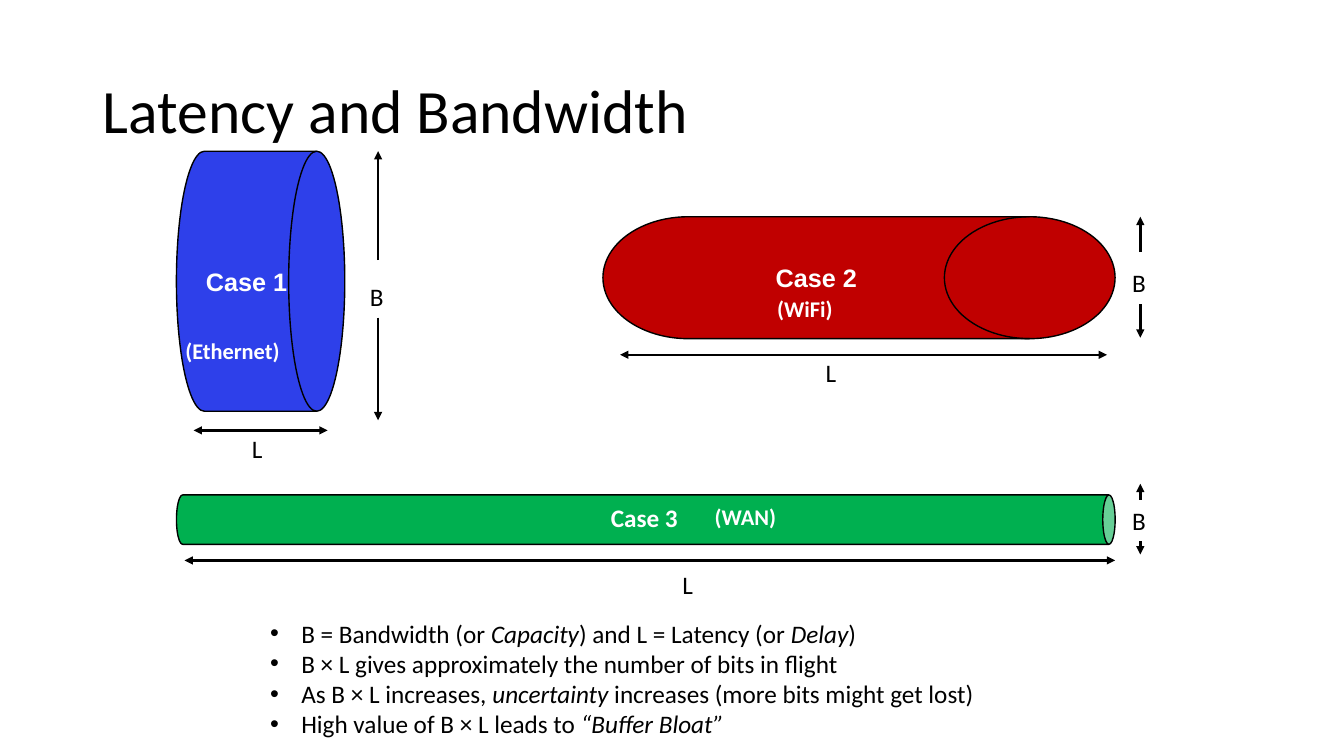
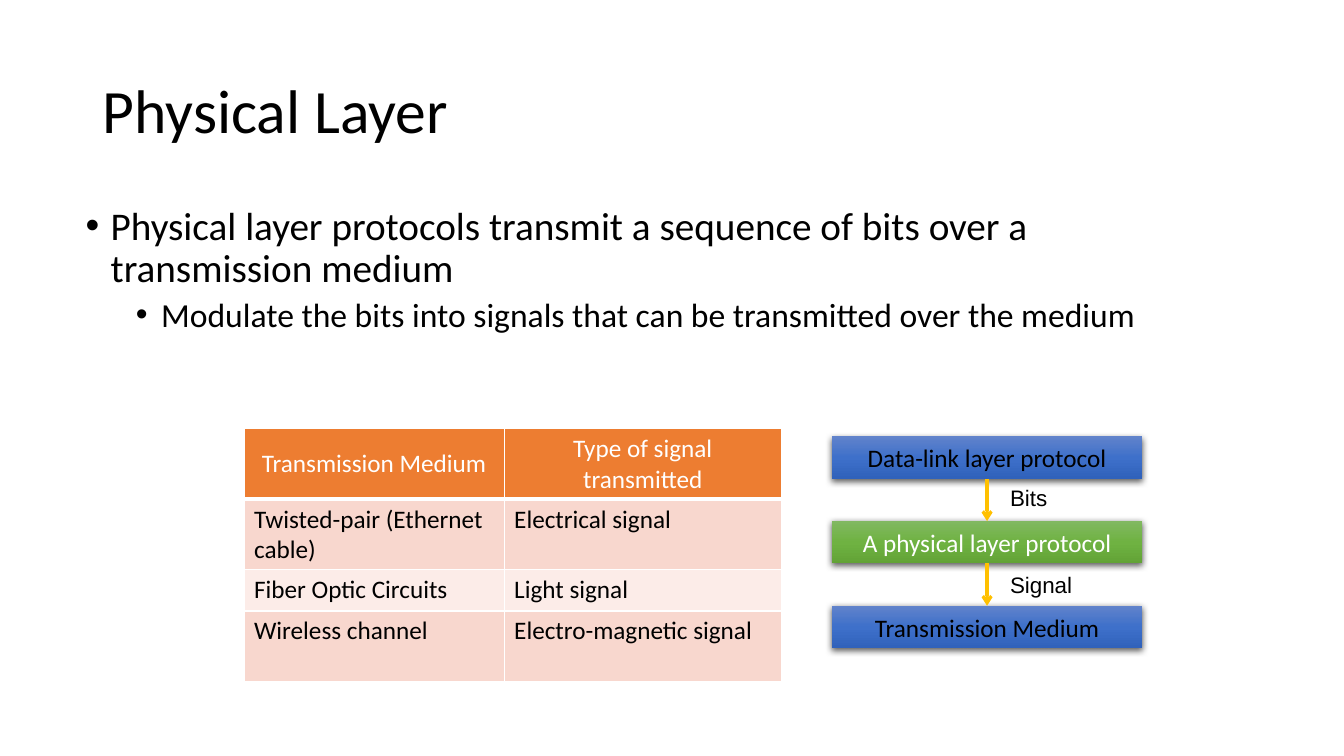
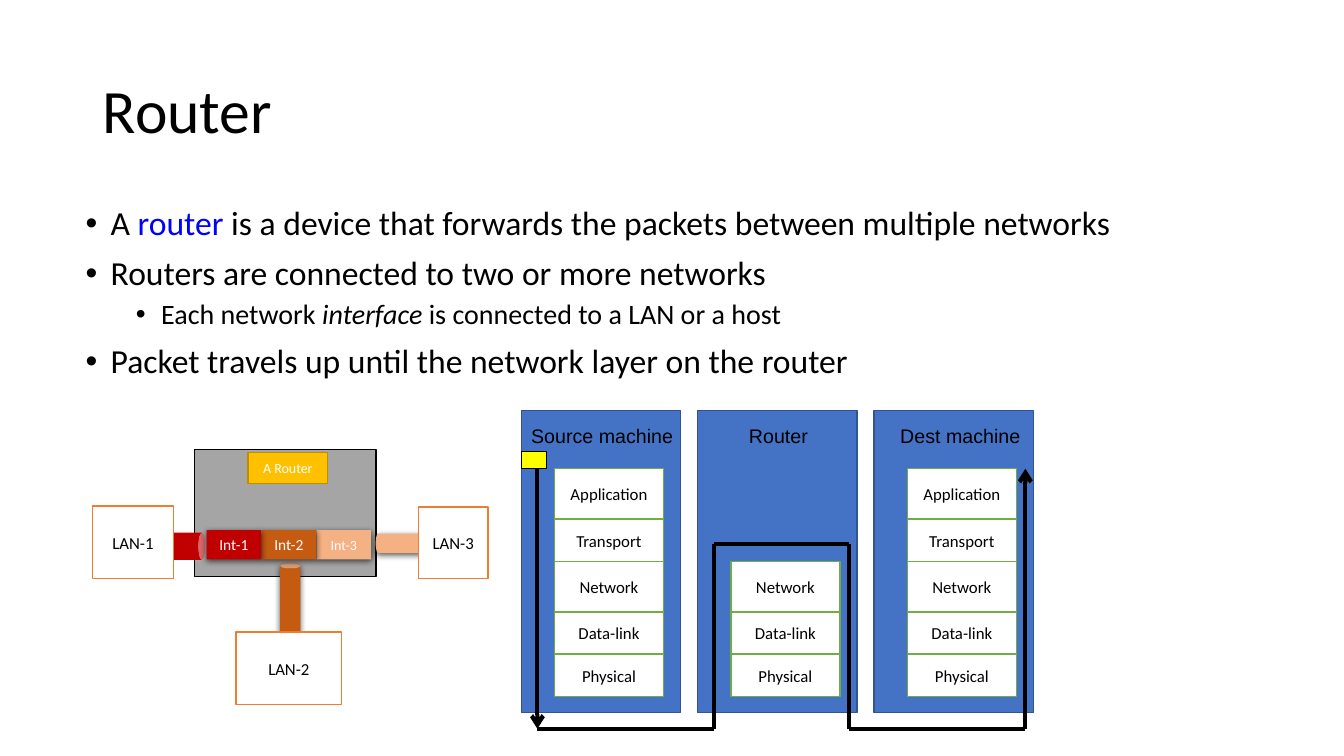
"""Three lecture slides on latency, the physical layer and routers."""
from copy import deepcopy
from dataclasses import dataclass

from lxml.etree import SubElement
from pptx import Presentation
from pptx.dml.color import RGBColor
from pptx.enum.shapes import MSO_CONNECTOR, MSO_SHAPE
from pptx.enum.text import MSO_ANCHOR, MSO_AUTO_SIZE, PP_ALIGN
from pptx.oxml.ns import qn
from pptx.util import Inches, Pt


@dataclass(frozen=True)
class Theme:
    body_font: str = "Calibri"
    label_font: str = "Arial"
    title: int = 44
    lead: int = 28
    point: int = 24
    sub: int = 20
    base: int = 18
    tag: int = 16
    machine: int = 14
    small: int = 12
    port: int = 11
    tiny: int = 10
    black: str = "000000"
    white: str = "FFFFFF"
    keyword: str = "0000FF"
    ethernet: str = "2E40EA"
    wifi: str = "C00000"
    wan: str = "00B050"
    orange: str = "ED7D31"
    band_dark: str = "F8D7CE"
    band_light: str = "FCECE8"
    gold: str = "FFC000"
    gold_edge: str = "BD8E00"
    grey: str = "A5A5A5"
    rust: str = "C55A11"
    peach: str = "F4B183"
    blue: str = "4472C4"
    blue_edge: str = "325491"
    green: str = "70AD47"
    packet: str = "FFFF00"
    blue_ramp: tuple = ("6183CB", "3E70CA", "3062BB")
    green_ramp: tuple = ("81B861", "6FB242", "62A336")


@dataclass(frozen=True)
class Bullet:
    runs: tuple
    level: str = "main"
    size: int = 24


THEME = Theme()
TITLE_AREA = (0.92, 0.4, 11.5, 1.45)
BODY_AREA = (0.75, 2, 11.5, 4.76)
LEVELS = {
    "note": {"left": 0.31, "hang": 0.31, "before": 0, "spacing": 1.0},
    "main": {"left": 0.25, "hang": 0.25, "before": 10, "spacing": 0.9},
    "sub": {"left": 0.75, "hang": 0.25, "before": 5, "spacing": 0.9},
}
ITALIC = {"italic": True}

DRUMS = [
    ("Case 1", (1.75, 1.5, 1.67, 2.58), THEME.ethernet),
    ("Case 2", (5.98, 2.15, 5.08, 1.21), THEME.wifi),
]
WAN_PIPE = (6.16, 0.5, 0.49, 9.31)
CASE_TAGS = [
    ("Case 3", (5.96, 4.93, 1.02, 0.4), THEME.base, False),
    ("(Ethernet)", (1.74, 3.3, 1.68, 0.37), THEME.tag, True),
    ("(WiFi)", (7.61, 2.88, 0.83, 0.37), THEME.tag, False),
    ("(WAN)", (6.99, 4.94, 0.87, 0.37), THEME.tag, False),
]
BANDWIDTHS = [
    {"x": 3.75, "up": (2.58, 1.5), "label": 2.74, "down": (3.15, 4.17)},
    {"x": 11.31, "up": (2.5, 2.15), "label": 2.6, "down": (3.02, 3.35)},
    {"x": 11.31, "up": (4.96, 4.8), "label": 4.96, "down": (5.37, 5.5)},
]
LATENCIES = [
    {"span": (1.92, 3.25), "y": 4.27, "label": (2.4, 4.25)},
    {"span": (6.15, 10.98), "y": 3.52, "label": (8.09, 3.5)},
    {"span": (1.83, 11.06), "y": 5.56, "label": (6.67, 5.6)},
]
LATENCY_NOTES = [
    Bullet(("B = Bandwidth (or ", ("Capacity", ITALIC), ") and L = Latency (or ",
            ("Delay", ITALIC), ")"), "note", THEME.base),
    Bullet(("B × L gives approximately the number of bits in flight",),
           "note", THEME.base),
    Bullet(("As B × L increases, ", ("uncertainty", ITALIC),
            " increases (more bits might get lost)"), "note", THEME.base),
    Bullet(("High value of B × L leads to ", ("“Buffer Bloat”", ITALIC)),
           "note", THEME.base),
]

PHYSICAL_POINTS = [
    Bullet(("Physical layer protocols transmit a sequence of bits over a "
            "transmission medium",), size=THEME.lead),
    Bullet(("Modulate the bits into signals that can be transmitted over the medium",),
           "sub", THEME.point),
]
MEDIA = [
    ("Transmission Medium", "Type of signal transmitted"),
    ("Twisted-pair (Ethernet cable)", "Electrical signal"),
    ("Fiber Optic Circuits", "Light signal"),
    ("Wireless channel", "Electro-magnetic signal"),
]
MEDIA_COLUMNS = (2.58, 2.75)
MEDIA_ROWS = (0.7, 0.7, 0.41, 0.7)
PROTOCOLS = [
    ("Data-link layer protocol", THEME.blue_ramp, THEME.black),
    ("A physical layer protocol", THEME.green_ramp, THEME.white),
    ("Transmission Medium", THEME.blue_ramp, THEME.black),
]
EXCHANGES = [("Bits", 4.75), ("Signal", 5.62)]

ROUTER_POINTS = [
    Bullet(("A ", ("router", {"color": THEME.keyword}),
            " is a device that forwards the packets between multiple networks")),
    Bullet(("Routers are connected to two or more networks",)),
    Bullet(("Each network ", ("interface ", ITALIC),
            "is connected to a LAN or a host"), "sub", THEME.sub),
    Bullet(("Packet travels up until the network layer on the router",)),
]
CABLES = [
    ((2.78, 5.59, 0.2, 1.03), THEME.rust, 0, True),
    ((1.55, 5.07, 0.27, 0.7), THEME.wifi, 90, False),
    ((4.05, 4.97, 0.19, 0.84), THEME.peach, 90, True),
]
LANS = [
    ("LAN-1", (0.92, 5.02, 0.8, 0.72)),
    ("LAN-2", (2.34, 6.27, 1.05, 0.72)),
    ("LAN-3", (4.15, 5.03, 0.69, 0.71)),
]
PORTS = [
    ("Int-1", THEME.wifi, THEME.port),
    ("Int-2", THEME.rust, THEME.port),
    ("Int-3", THEME.peach, THEME.tiny),
]
LAYERS = [("Application", 0.5), ("Transport", 0.42), ("Network", 0.5),
          ("Data-link", 0.42), ("Physical", 0.42)]
MACHINES = [
    ("Source machine", 0, 1.67, 0),
    ("Router", 0.41, 0.92, 2),
    ("Dest machine", 0.16, 1.42, 0),
]
ROUTE = [(5.33, 7.23), (7.08, 7.23), (7.08, 5.4), (8.42, 5.4),
         (8.42, 7.23), (10.17, 7.23), (10.17, 4.65)]


def inches(area):
    return [Inches(length) for length in area]


def rgb(color):
    return RGBColor.from_string(color)


def set_bullet(paragraph, left, hang, before, spacing):
    paragraph.line_spacing = spacing
    paragraph.space_before = Pt(before)
    properties = paragraph._p.get_or_add_pPr()
    properties.set("marL", str(Inches(left)))
    properties.set("indent", str(-Inches(hang)))
    SubElement(properties, qn("a:buFont"), typeface=THEME.label_font)
    SubElement(properties, qn("a:buChar"), char="•")


def write(frame, content, size=THEME.base, color=THEME.black, font=THEME.body_font,
          bold=False, align=PP_ALIGN.LEFT, anchor=MSO_ANCHOR.TOP, wrap=True):
    """Fill a text frame with a string or a list of bullets."""
    frame.word_wrap = wrap
    frame.vertical_anchor = anchor
    items = [content] if isinstance(content, str) else content
    for index, item in enumerate(items):
        paragraph = frame.add_paragraph() if index else frame.paragraphs[0]
        paragraph.alignment = align
        runs, points = (item,), size
        if isinstance(item, Bullet):
            runs, points = item.runs, item.size
            level = LEVELS[item.level]
            set_bullet(paragraph, **{**level, "before": level["before"] if index else 0})
        for part in runs:
            words, style = (part, {}) if isinstance(part, str) else part
            run = paragraph.add_run()
            run.text = words
            run.font.name = font
            run.font.size = Pt(points)
            run.font.bold = bold
            run.font.italic = style.get("italic", False)
            run.font.color.rgb = rgb(style.get("color", color))


def add_text(slide, content, area, **style):
    write(slide.shapes.add_textbox(*inches(area)).text_frame, content, **style)


def fill_ramp(shape, colors):
    shape.fill.gradient()
    shape.fill.gradient_angle = 270
    stop_list = shape._element.spPr.find(qn("a:gradFill")).find(qn("a:gsLst"))
    stop_list.insert(1, deepcopy(stop_list[0]))
    for index, (stop, color) in enumerate(zip(shape.fill.gradient_stops, colors)):
        stop.position = index / 2
        stop.color.rgb = rgb(color)


def add_block(slide, area, fill, text="", kind=MSO_SHAPE.RECTANGLE, line=None,
              shadow=False, rotation=0, margin=0.1, **style):
    block = slide.shapes.add_shape(kind, *inches(area))
    block.rotation = rotation
    block.shadow.inherit = False
    if isinstance(fill, tuple):
        fill_ramp(block, fill)
    else:
        block.fill.solid()
        block.fill.fore_color.rgb = rgb(fill)
    if line:
        block.line.color.rgb = rgb(line)
        block.line.width = Pt(1)
    else:
        block.line.fill.background()
    if shadow:
        effects = block._element.spPr.find(qn("a:effectLst"))
        outer = SubElement(effects, qn("a:outerShdw"), blurRad=str(Pt(4.5)),
                           dist=str(Pt(1.5)), dir="5400000", rotWithShape="0")
        tint = SubElement(outer, qn("a:srgbClr"), val=THEME.black)
        SubElement(tint, qn("a:alpha"), val="63000")
    if text:
        block.text_frame.margin_left = block.text_frame.margin_right = Inches(margin)
        write(block.text_frame, text, align=PP_ALIGN.CENTER,
              anchor=MSO_ANCHOR.MIDDLE, **style)


def add_line(slide, start, end, color=THEME.black, width=1.75, head=None, tail=None):
    line = slide.shapes.add_connector(MSO_CONNECTOR.STRAIGHT, *inches(start + end))
    line.line.color.rgb = rgb(color)
    line.line.width = Pt(width)
    properties = line._element.spPr
    for tag, arrow in (("a:headEnd", head), ("a:tailEnd", tail)):
        if arrow:
            SubElement(properties.find(qn("a:ln")), qn(tag), type=arrow)
    SubElement(properties, qn("a:effectLst"))


def start_slide(deck, heading):
    slide = deck.slides.add_slide(deck.slide_layouts[5])
    title = slide.shapes.title
    title.left, title.top, title.width, title.height = inches(TITLE_AREA)
    title.text_frame.auto_size = MSO_AUTO_SIZE.NONE
    write(title.text_frame, heading, size=THEME.title, anchor=MSO_ANCHOR.MIDDLE)
    title.text_frame.paragraphs[0].line_spacing = 0.9
    return slide


def build_latency(deck):
    slide = start_slide(deck, "Latency and Bandwidth")
    for name, area, color in DRUMS:
        add_block(slide, area, color, name, line=THEME.black, margin=0, bold=True,
                  kind=MSO_SHAPE.FLOWCHART_DIRECT_ACCESS_STORAGE,
                  color=THEME.white, font=THEME.label_font)
    add_block(slide, WAN_PIPE, THEME.wan, kind=MSO_SHAPE.CAN, line=THEME.black,
              rotation=90)
    for name, area, size, wrap in CASE_TAGS:
        add_text(slide, name, area, size=size, color=THEME.white, bold=True, wrap=wrap)
    for band in BANDWIDTHS:
        x = band["x"]
        for start, end in (band["up"], band["down"]):
            add_line(slide, (x, start), (x, end), tail="triangle")
        add_text(slide, "B", (x - 0.18, band["label"], 0.37, 0.4), wrap=False)
    for latency in LATENCIES:
        left, right = latency["span"]
        add_line(slide, (left, latency["y"]), (right, latency["y"]),
                 head="triangle", tail="triangle")
        add_text(slide, "L", latency["label"] + (0.34, 0.4), wrap=False)
    add_text(slide, LATENCY_NOTES, (2.58, 6.08, 8.72, 1.62))


def add_borders(cell, bottom):
    properties = cell._tc.get_or_add_tcPr()
    for index, (side, width) in enumerate((("L", 1), ("R", 1), ("T", 1), ("B", bottom))):
        border = SubElement(properties, qn(f"a:ln{side}"), w=str(Pt(width)))
        SubElement(SubElement(border, qn("a:solidFill")), qn("a:srgbClr"),
                   val=THEME.white)
        properties.insert(index, border)


def add_media_table(slide):
    area = (2.42, 4.25, sum(MEDIA_COLUMNS), sum(MEDIA_ROWS))
    table = slide.shapes.add_table(len(MEDIA), len(MEDIA_COLUMNS), *inches(area)).table
    for column, width in zip(table.columns, MEDIA_COLUMNS):
        column.width = Inches(width)
    for index, (row, height, words) in enumerate(zip(table.rows, MEDIA_ROWS, MEDIA)):
        row.height = Inches(height)
        band = THEME.band_dark if index % 2 else THEME.band_light
        for cell, text in zip(row.cells, words):
            cell.fill.solid()
            cell.fill.fore_color.rgb = rgb(band if index else THEME.orange)
            add_borders(cell, 1 if index else 3)
            write(cell.text_frame, text,
                  color=THEME.black if index else THEME.white,
                  align=PP_ALIGN.LEFT if index else PP_ALIGN.CENTER)
            cell.vertical_anchor = MSO_ANCHOR.TOP if index else MSO_ANCHOR.MIDDLE


def build_physical(deck):
    slide = start_slide(deck, "Physical Layer")
    add_text(slide, PHYSICAL_POINTS, BODY_AREA)
    add_media_table(slide)
    left, top, width, height = 8.25, 4.33, 3.08, 0.42
    pitch, middle = 2 * height, left + width / 2
    for index, (name, ramp, color) in enumerate(PROTOCOLS):
        add_block(slide, (left, top + index * pitch, width, height), ramp, name,
                  shadow=True, color=color)
    for index, (name, label_top) in enumerate(EXCHANGES):
        start = top + height + index * pitch
        add_line(slide, (middle, start), (middle, start + height),
                 color=THEME.gold, width=2.25, tail="arrow")
        add_text(slide, name, (9.92, label_top, 0.83, 0.37), size=THEME.tag,
                 font=THEME.label_font)


def add_router(slide):
    add_block(slide, (1.93, 4.46, 1.8, 1.26), THEME.grey, line=THEME.black)
    for area, color, rotation, shadow in CABLES:
        add_block(slide, area, color, kind=MSO_SHAPE.CAN, rotation=rotation,
                  shadow=shadow)
    for name, area in LANS:
        add_block(slide, area, THEME.white, name, line=THEME.orange, size=THEME.small)
    for index, (name, color, size) in reversed(list(enumerate(PORTS))):
        add_block(slide, (2.05 + index * 0.545, 5.26, 0.54, 0.29), color, name,
                  shadow=True, size=size, color=THEME.white)
    add_block(slide, (2.46, 4.49, 0.79, 0.31), THEME.gold, "A Router",
              line=THEME.gold_edge, size=THEME.tiny, color=THEME.white)


def add_machines(slide):
    for index, (name, shift, label_width, first) in enumerate(MACHINES):
        left, top = 5.17 + index * 1.75, 4.65
        add_block(slide, (left, 4.07, 1.58, 3), THEME.blue, line=THEME.blue_edge)
        for position, (layer, height) in enumerate(LAYERS):
            if position >= first:
                add_block(slide, (left + 0.33, top, 1.08, height), THEME.white, layer,
                          line=THEME.green, size=THEME.small)
            top += height
        add_text(slide, name, (left + shift, 4.16, label_width, 0.34),
                 size=THEME.machine, font=THEME.label_font)


def build_router(deck):
    slide = start_slide(deck, "Router")
    add_text(slide, ROUTER_POINTS, BODY_AREA)
    add_router(slide)
    add_machines(slide)
    for start, end in zip(ROUTE, ROUTE[1:]):
        add_line(slide, start, end, width=3, tail="arrow" if end == ROUTE[-1] else None)
    add_line(slide, (5.33, 4.57), ROUTE[0], width=3, tail="arrow")
    add_block(slide, (5.17, 4.48, 0.25, 0.17), THEME.packet, line=THEME.black)


def main():
    deck = Presentation()
    deck.slide_width, deck.slide_height = inches((13.33, 7.5))
    for build in (build_latency, build_physical, build_router):
        build(deck)
    deck.save("out.pptx")


if __name__ == "__main__":
    main()
